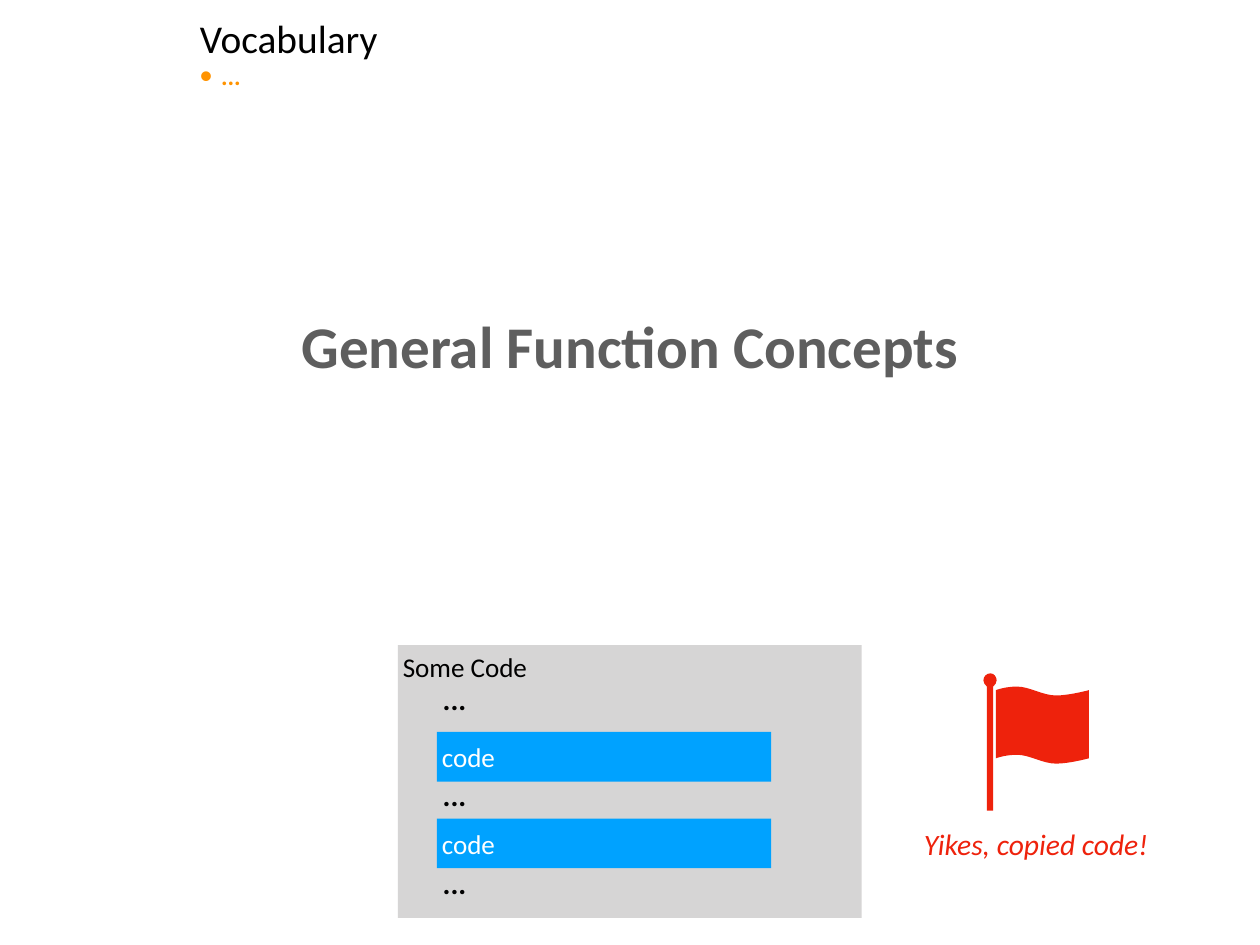
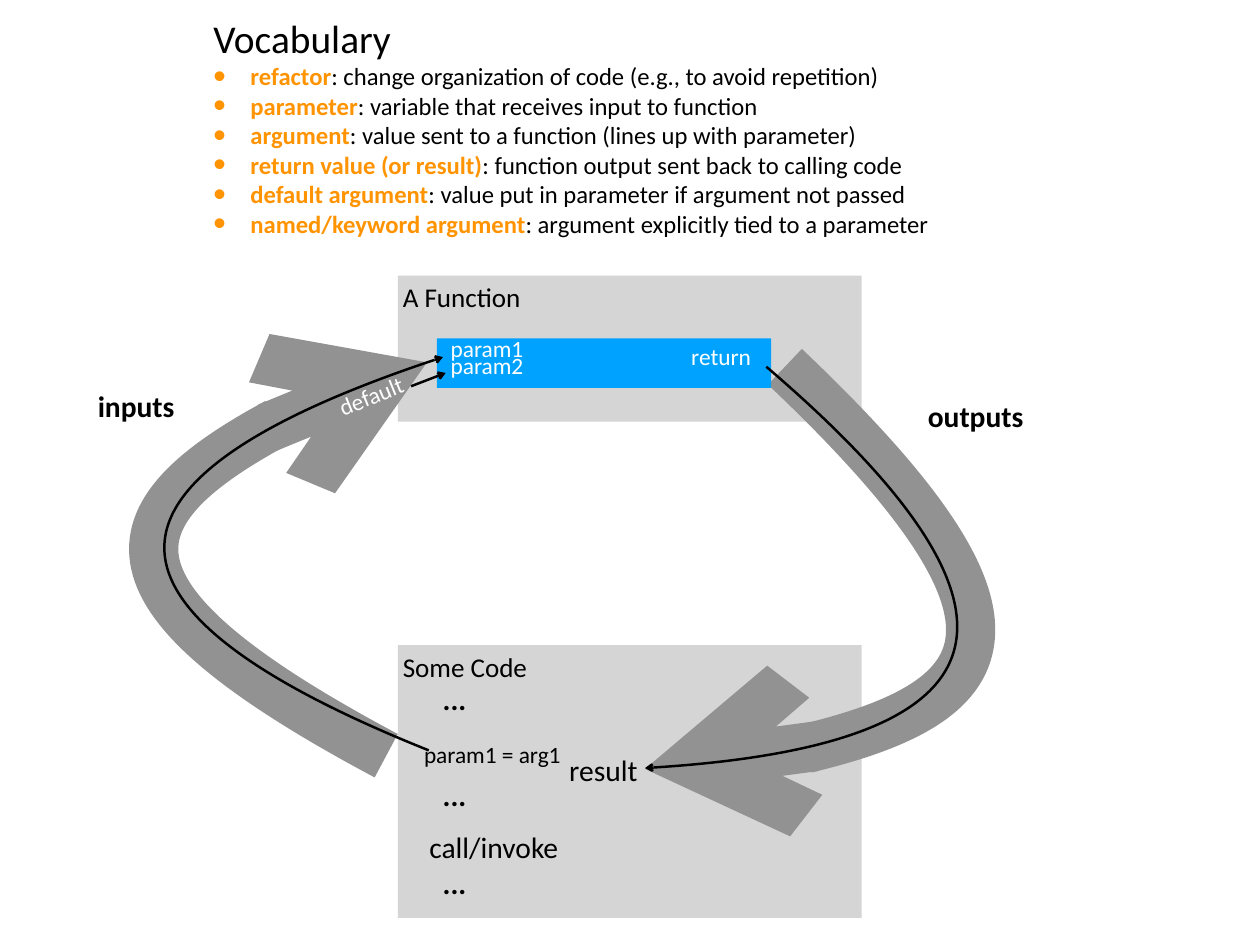
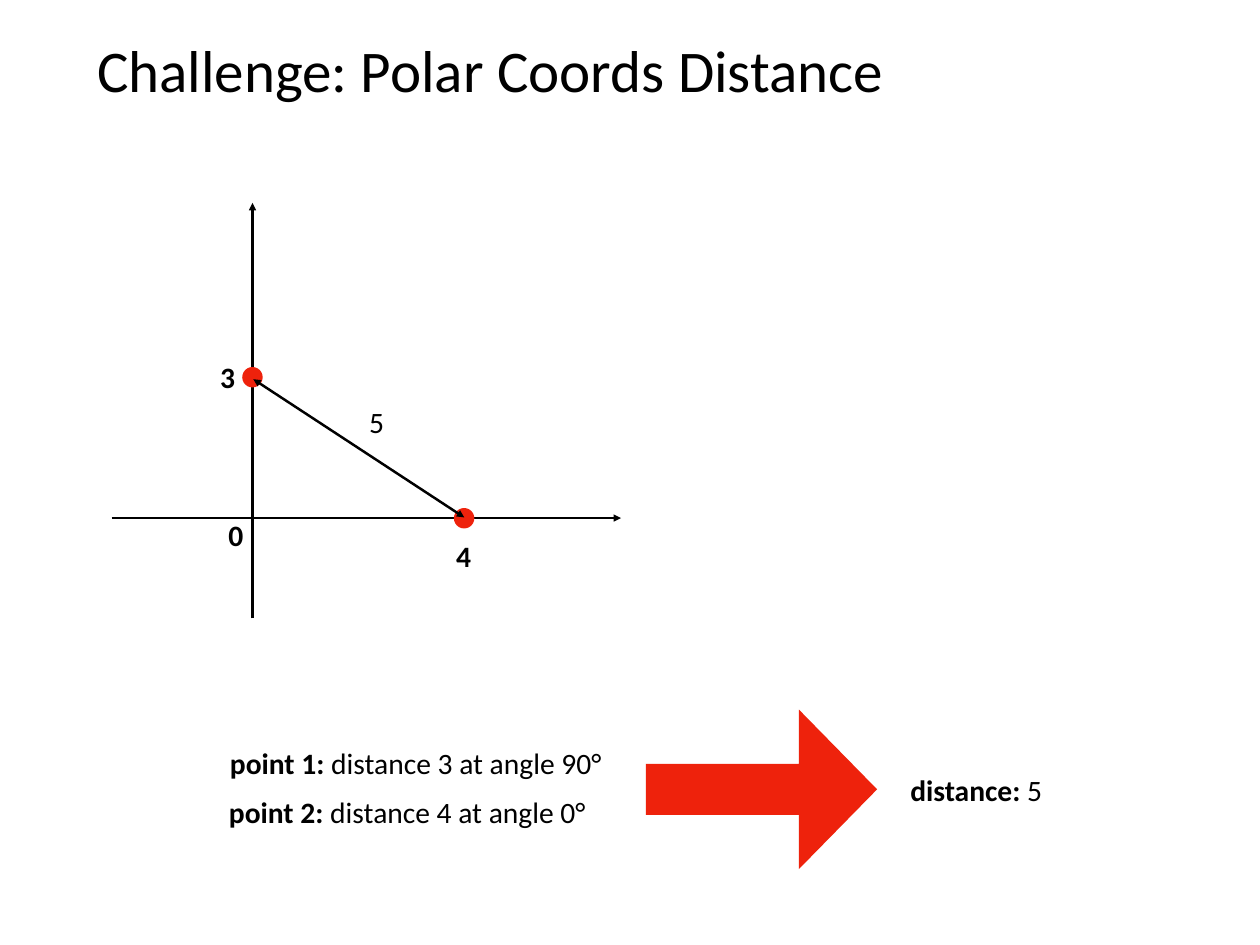
import lxml.etree
import pptx
import pptx.dml.color
import pptx.enum.shapes
import pptx.enum.text
import pptx.oxml.ns
import pptx.util

Pt = pptx.util.Pt
RGB = pptx.dml.color.RGBColor
SHAPE = pptx.enum.shapes.MSO_SHAPE
ALIGN = pptx.enum.text.PP_ALIGN
ANCHOR = pptx.enum.text.MSO_ANCHOR
qn = pptx.oxml.ns.qn

BLACK = RGB(0x00, 0x00, 0x00)
WHITE = RGB(0xFF, 0xFF, 0xFF)
TITLE_GRAY = RGB(0x5E, 0x5E, 0x5E)
PANEL_GRAY = RGB(0xD6, 0xD5, 0xD5)
FLOW_GRAY = RGB(0x92, 0x92, 0x92)
BLUE = RGB(0x00, 0xA2, 0xFF)
ORANGE = RGB(0xFF, 0x93, 0x00)
RED = RGB(0xEE, 0x22, 0x0C)
FONT = "Calibri"
INSET = 4
THIN, THICK = 2, 40
LABEL_HEIGHT = 36.7

# Content: a (lead, rest) pair is a paragraph with a bold lead.
VOCABULARY = "Vocabulary"
TERMS = [
    ("refactor", ": change organization of code (e.g., to avoid repetition)"),
    ("parameter", ": variable that receives input to function"),
    ("argument", ": value sent to a function (lines up with parameter)"),
    ("return value (or result)", ": function output sent back to calling code"),
    ("default argument", ": value put in parameter if argument not passed"),
    ("named/keyword argument", ": argument explicitly tied to a parameter"),
]
ELLIPSIS_TOPS = (549.4, 627.1, 699.1)
SOME_CODE = ("Some Code", (323.4, 524.2, 376.8, 221.8))
A_FUNCTION = ("A Function", (323.4, 223.9, 376.8, 118.8))
COPIED_CODE_TOPS = (594.9, 665.3)
FUNCTION_BODY_TOP = 275

# Outlines: a box, then contours of points and (control, control, end) curves.
OUTPUT_BAND = ((524.2, 298.1, 250.6, 326.9),
               [[(524.2, 625), ((814.3, 610.6), (852.5, 501.8), (637.9, 298.1))]])
INPUT_BAND = ((139, 294.5, 208.1, 319.7),
              [[(347, 294.5), ((81.4, 378), (70.6, 484.6), (313.9, 614.2))]])
INPUT_CALL = ((134.6, 290.2, 225.4, 319.6),
              [[(360, 290.2), ((63.4, 387.4), (59, 493.9), (348.5, 609.8))]])
OUTPUT_CALL = ((524.2, 298.1, 252.7, 326.1),
               [[(524.2, 624.2), ((824.4, 607), (857.5, 499), (622.8, 298.1))]])
POLE = [(805, 547.2),
        ((801.4, 547.2), (799.2, 550.1), (799.2, 553)),
        ((799.2, 555.1), (800.6, 556.6), (802.1, 558)),
        (802.1, 658.8), (807.1, 658.8), (807.1, 558),
        ((808.6, 556.6), (810, 555.1), (810, 553)),
        ((810, 550.1), (807.8, 547.2), (805, 547.2))]
CLOTH = [(826.6, 558),
         ((816.5, 558), (809.3, 560.9), (809.3, 560.9)), (809.3, 616.3),
         ((809.3, 616.3), (816.5, 613.4), (826.6, 613.4)),
         ((836.6, 613.4), (847.4, 620.6), (858.2, 620.6)),
         ((869, 620.6), (884.9, 616.3), (884.9, 616.3)), (884.9, 560.9),
         ((884.9, 560.9), (869, 565.2), (858.2, 565.2)),
         ((847.4, 565.2), (836.6, 558), (826.6, 558))]
RED_FLAG = ((799.2, 547.2, 85.7, 111.6), [POLE, CLOTH])
DEFAULT_ARROW = ((362.2, 303.1), (334.1, 313.9))

FLOW_LABELS = [
    (["call/invoke"], (344.9, 669.6, 128.2, LABEL_HEIGHT), {}),
    (["inputs"], (68.6, 311.5, 84.2, LABEL_HEIGHT), dict(bold=True, align=ALIGN.CENTER)),
    (["param1", "param2"], (357.3, 275.8, 77, 35.3),
     dict(size=19, color=WHITE, spacing=0.6, align=ALIGN.CENTER)),
    (["param1 = arg1"], (340.6, 601.9, 139, 25.9), dict(size=19, spacing=0.8)),
    (["result"], (458.6, 607, 72.7, LABEL_HEIGHT), {}),
    (["return"], (553.7, 282.2, 64.8, 21.6),
     dict(size=19, color=WHITE, spacing=0.6, align=ALIGN.CENTER)),
    (["outputs"], (741.8, 319.7, 102.2, LABEL_HEIGHT), dict(bold=True, align=ALIGN.CENTER)),
    (["default"], (267.1, 313.9, 71.3, 21.6),
     dict(size=19, color=WHITE, spacing=0.6, align=ALIGN.CENTER, rotation=338)),
]

ORIGIN = (205.2, 421.2)
UNIT = (43, 38.2)
AXES = [((205.2, 502.6), (205.2, 164.9)), ((90.7, 421), (504.7, 421))]
POINTS = [(0, 3), (4, 0)]
POINT_SIZE = 16.6
DISTANCE_ARROW = ((205.9, 308.2), (377.3, 420.5))
NUMBERS = [("3", 174.2, 288, True), ("4", 366, 433.4, True),
           ("5", 295.2, 324.7, False), ("0", 180.9, 416.4, True)]
RESULTS = [
    (("distance: ", "5"), (725, 623, 136.8, LABEL_HEIGHT)),
    (("point 1: ", "distance 3 at angle 90°"), (157.5, 601.2, 360.7, LABEL_HEIGHT)),
    (("point 2: ", "distance 4 at angle 0°"), (157.5, 641.5, 347, LABEL_HEIGHT)),
]


def write(holder, lines, size=24, color=BLACK, lead_color=None, bold=False, italic=False,
          align=ALIGN.LEFT, anchor=ANCHOR.MIDDLE, spacing=None):
    """Append formatted paragraphs to a shape."""
    frame = holder.text_frame
    frame.auto_size = pptx.enum.text.MSO_AUTO_SIZE.NONE
    frame.word_wrap = align != ALIGN.CENTER
    frame.vertical_anchor = anchor
    frame.margin_left = frame.margin_right = Pt(INSET)
    frame.margin_top = frame.margin_bottom = Pt(INSET)
    for line in lines:
        paragraph = frame.add_paragraph() if frame.text else frame.paragraphs[0]
        paragraph.alignment = align
        paragraph.space_before = Pt(0)
        if spacing:
            paragraph.line_spacing = spacing
        if isinstance(line, str):
            pieces = [(line, color, bold)]
        else:
            pieces = [(line[0], lead_color or color, True), (line[1], color, False)]
        for text, ink, weight in pieces:
            run = paragraph.add_run()
            run.text = text
            run.font.name, run.font.size = FONT, Pt(size)
            run.font.bold, run.font.italic = weight, italic
            run.font.color.rgb = ink


def place(holder, box):
    """Move a placeholder to a box given in points."""
    holder.left, holder.top, holder.width, holder.height = map(Pt, box)
    return holder


def label(slide, lines, box, rotation=0, **style):
    """Add a free text box."""
    holder = slide.shapes.add_textbox(*map(Pt, box))
    holder.rotation = rotation
    write(holder, lines, **style)


def paint(shape, fill):
    """Give a shape a plain fill without line or shadow."""
    shape.shadow.inherit = False
    shape.fill.solid()
    shape.fill.fore_color.rgb = fill
    shape.line.fill.background()
    return shape


def block(slide, kind, box, fill):
    """Add a plain preset shape."""
    return paint(slide.shapes.add_shape(kind, *map(Pt, box)), fill)


def panel(slide, heading, box):
    """Add a gray panel with its heading at the top left."""
    write(block(slide, SHAPE.RECTANGLE, box, PANEL_GRAY), [heading], size=22, anchor=ANCHOR.TOP)


def code_bar(slide, top):
    """Add a blue bar that stands for a piece of code."""
    return block(slide, SHAPE.RECTANGLE, (355.1, top, 271.6, 40.3), BLUE)


def ellipses(slide):
    """Add the dots for code left out of the lower panel."""
    for top in ELLIPSIS_TOPS:
        label(slide, ["..."], (355, top, 28.8, LABEL_HEIGHT), bold=True, align=ALIGN.CENTER)


def vocabulary(slide, box, margin, hang, terms, **style):
    """Write the vocabulary heading and its bulleted terms in the body."""
    body = place(slide.placeholders[1], box)
    write(body, [VOCABULARY], size=32, anchor=ANCHOR.TOP)
    write(body, terms, size=20, anchor=ANCHOR.TOP, **style)
    for index, paragraph in enumerate(body.text_frame.paragraphs):
        props = paragraph._p.get_or_add_pPr()
        props.set("marL", str(Pt(margin)))
        props.set("indent", str(-Pt(hang)))
        if index == 0:
            lxml.etree.SubElement(props, qn("a:buNone"))
            continue
        tint = lxml.etree.SubElement(props, qn("a:buClr"))
        lxml.etree.SubElement(tint, qn("a:srgbClr"), val=str(ORANGE))
        lxml.etree.SubElement(props, qn("a:buSzPct"), val="145000")
        lxml.etree.SubElement(props, qn("a:buFont"), typeface="Arial")
        lxml.etree.SubElement(props, qn("a:buChar"), char="•")


def stroke(line, color, width, **ends):
    """Style a line and give it arrowheads by end (headEnd, tailEnd)."""
    line.color.rgb = color
    line.width = Pt(width)
    for end in sorted(ends):
        lxml.etree.SubElement(line._get_or_add_ln(), qn("a:" + end), type=ends[end])


def arrow(slide, start, finish, **ends):
    """Add a straight black arrow."""
    connector = slide.shapes.add_connector(
        pptx.enum.shapes.MSO_CONNECTOR.STRAIGHT, *map(Pt, start + finish))
    stroke(connector.line, BLACK, THIN, **ends)
    lxml.etree.SubElement(connector._element.spPr, qn("a:effectLst"))


def outline(slide, box, contours, close=False):
    """Build a freeform over a box and draw contours of lines and cubic curves in it."""
    left, top, width, height = box
    builder = slide.shapes.build_freeform(Pt(left), Pt(top))
    builder.add_line_segments([(Pt(left + width), Pt(top + height))], close=False)
    shape = builder.convert_to_shape()
    drawing = shape._element.spPr.find(".//" + qn("a:path"))
    for child in list(drawing):
        drawing.remove(child)

    def draw(command, points):
        """Append one drawing command in the box's own coordinates."""
        step = lxml.etree.SubElement(drawing, qn("a:" + command))
        for x, y in points:
            lxml.etree.SubElement(step, qn("a:pt"), x=str(Pt(x - left)), y=str(Pt(y - top)))

    for first, *rest in contours:
        draw("moveTo", [first])
        for part in rest:
            if len(part) == 3:
                draw("cubicBezTo", part)
            else:
                draw("lnTo", [part])
        if close:
            draw("close", [])
    return shape


def flow(slide, curve, color, width):
    """Add a curved arrow whose head is at the first point."""
    shape = outline(slide, *curve)
    shape.shadow.inherit = False
    shape.fill.background()
    stroke(shape.line, color, width, headEnd="arrow")


def concepts_slide(deck):
    """Build the opening slide with the copied code."""
    slide = deck.slides.add_slide(deck.slide_layouts[1])
    panel(slide, *SOME_CODE)
    for top in COPIED_CODE_TOPS:
        write(code_bar(slide, top), ["code"], size=22, color=WHITE)
    ellipses(slide)
    vocabulary(slide, (150.5, 7.2, 217.4, 70.6), 25.2, 17.3, ["..."], color=ORANGE, bold=True)
    write(place(slide.shapes.title, (185.8, 247.3, 652.3, 65.5)), ["General Function Concepts"],
          size=48, color=TITLE_GRAY, bold=True, align=ALIGN.CENTER)
    paint(outline(slide, *RED_FLAG, close=True), RED)
    label(slide, ["Yikes, copied code!"], (739, 667, 205.9, LABEL_HEIGHT),
          color=RED, italic=True, align=ALIGN.CENTER)


def vocabulary_slide(deck):
    """Build the slide that maps terms to a function call."""
    slide = deck.slides.add_slide(deck.slide_layouts[1])
    unused_title = slide.shapes.title._element
    unused_title.getparent().remove(unused_title)
    vocabulary(slide, (157, 7.2, 700.6, 190.8), 42.5, 30.2, TERMS, lead_color=ORANGE)
    panel(slide, *A_FUNCTION)
    panel(slide, *SOME_CODE)
    flow(slide, OUTPUT_BAND, FLOW_GRAY, THICK)
    ellipses(slide)
    code_bar(slide, FUNCTION_BODY_TOP)
    flow(slide, INPUT_BAND, FLOW_GRAY, THICK)
    arrow(slide, *DEFAULT_ARROW, headEnd="arrow")
    for call in (INPUT_CALL, OUTPUT_CALL):
        flow(slide, call, BLACK, THIN)
    for lines, box, style in FLOW_LABELS:
        label(slide, lines, box, **style)


def challenge_slide(deck):
    """Build the polar distance challenge."""
    slide = deck.slides.add_slide(deck.slide_layouts[5])
    write(place(slide.shapes.title, (74.9, 20, 874, 71.3)),
          ["Challenge: Polar Coords Distance"], size=48)
    for start, finish in AXES:
        arrow(slide, start, finish, tailEnd="triangle")
    for x, y in POINTS:
        left = ORIGIN[0] + x * UNIT[0] - POINT_SIZE / 2
        top = ORIGIN[1] - y * UNIT[1] - POINT_SIZE / 2
        block(slide, SHAPE.OVAL, (left, top, POINT_SIZE, POINT_SIZE), RED)
    arrow(slide, *DISTANCE_ARROW, headEnd="triangle", tailEnd="triangle")
    for number, left, top, bold in NUMBERS:
        label(slide, [number], (left, top, 21.6, LABEL_HEIGHT), bold=bold, align=ALIGN.CENTER)
    result_arrow = block(slide, SHAPE.RIGHT_ARROW, (524.9, 576.7, 187.9, 129.6), RED)
    result_arrow.adjustments[0], result_arrow.adjustments[1] = 0.32, 0.49
    for line, box in RESULTS:
        label(slide, [line], box, align=ALIGN.CENTER)


def main():
    """Build and save the deck."""
    deck = pptx.Presentation()
    deck.slide_width, deck.slide_height = Pt(1024), Pt(768)
    concepts_slide(deck)
    vocabulary_slide(deck)
    challenge_slide(deck)
    deck.save("out.pptx")


main()
